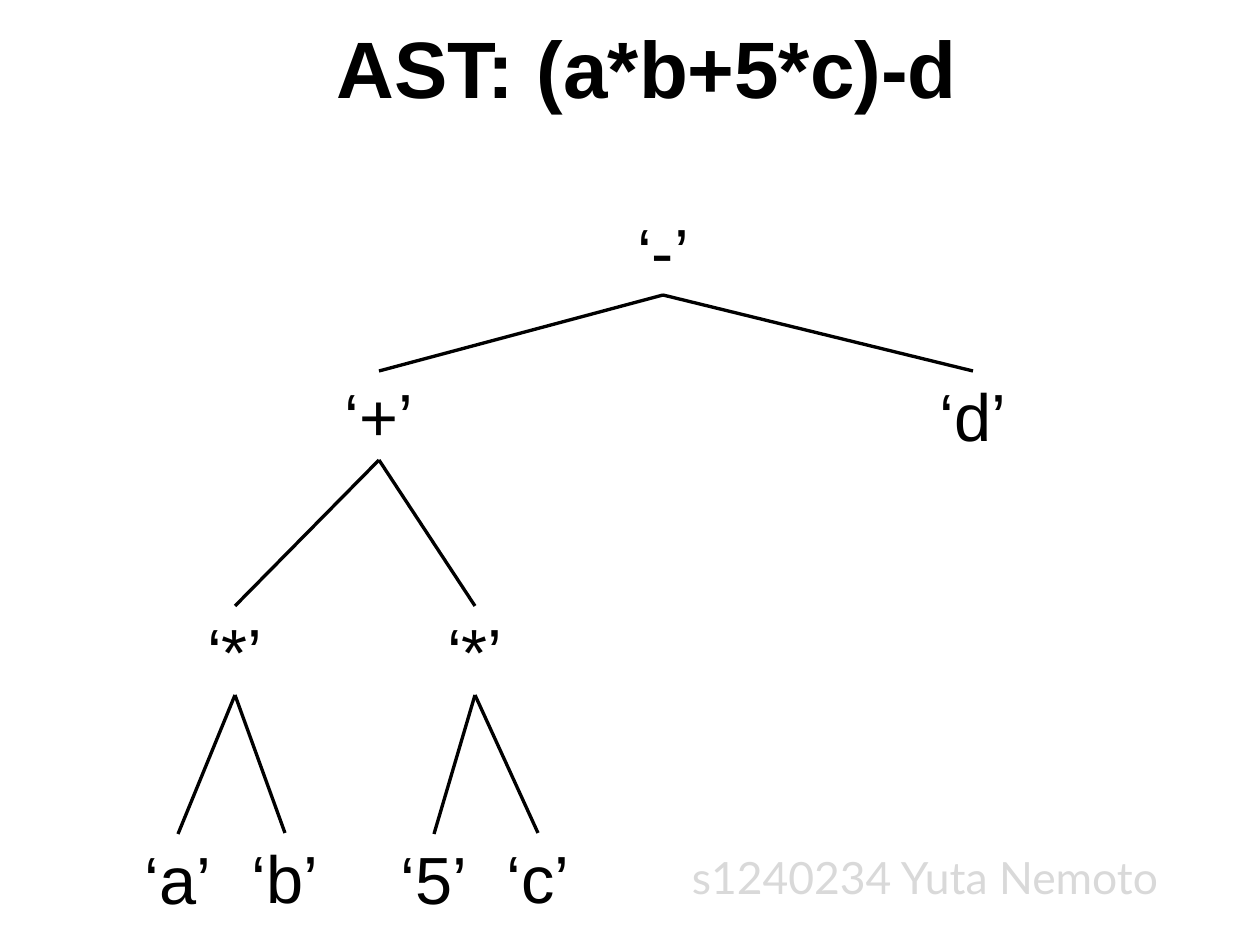
from pptx import Presentation
from pptx.dml.color import RGBColor
from pptx.enum.shapes import MSO_CONNECTOR
from pptx.enum.text import MSO_ANCHOR, MSO_AUTO_SIZE, PP_ALIGN
from pptx.oxml.ns import qn
from pptx.util import Pt
from lxml import etree

PX = 914400 // 80  # EMU per pixel
LEFT, CENTER = PP_ALIGN.LEFT, PP_ALIGN.CENTER
TOP, NO_FIT = MSO_ANCHOR.TOP, MSO_AUTO_SIZE.NONE
STRAIGHT = MSO_CONNECTOR.STRAIGHT
TOP_SITE, BOTTOM_SITE = 0, 2
COLORS = {"ink": "000000", "author": "D9D9D9"}

prs = Presentation()
prs.slide_width, prs.slide_height = 1260 * PX, 945 * PX
s = prs.slides.add_slide(prs.slide_layouts[5])


def put_text(text, x, y, w, h, size, sp=None, font="Arial", color="ink",
             bold=False, align=CENTER, wrap=False):
    """Fill a placeholder, or a new text box, with one formatted line."""
    if sp is None:
        sp = s.shapes.add_textbox(0, 0, 0, 0)
    sp.left, sp.top, sp.width, sp.height = (v * PX for v in (x, y, w, h))
    tf = sp.text_frame
    tf.auto_size, tf.word_wrap, tf.vertical_anchor = NO_FIT, wrap, TOP
    p = tf.paragraphs[0]
    p.alignment = align
    r = p.add_run()
    r.text = text
    r.font.name, r.font.size, r.font.bold = font, Pt(size), bold
    r.font.color.rgb = RGBColor.from_string(COLORS[color])
    return sp


# Title
put_text("AST: (a*b+5*c)-d", 326, 14, 642, 105, 72, sp=s.shapes.title, bold=True)

# Tree nodes: symbol, centre x, top, width, index of the parent
NODES = [
    ("-", 663, 206, 68, None),
    ("+", 379, 371, 86, 0),
    ("d", 973, 371, 84, 0),
    ("*", 235, 606, 72, 1),
    ("*", 475, 606, 72, 1),
    ("a", 178, 834, 84, 3),
    ("b", 285, 833, 84, 3),
    ("5", 434, 834, 84, 4),
    ("c", 538, 833, 80, 4),
]
NODE_H = 89
boxes = [put_text(f"‘{symbol}’", cx - w // 2, y, w, NODE_H, 60)
         for symbol, cx, y, w, parent in NODES]

# Branches from each node up to its parent
for box, (*_, parent) in zip(boxes, NODES):
    if parent is None:
        continue
    branch = s.shapes.add_connector(STRAIGHT, 0, 0, 0, 0)
    branch.begin_connect(box, TOP_SITE)
    branch.end_connect(boxes[parent], BOTTOM_SITE)
    branch.line.width = Pt(3)
    branch.line.color.rgb = RGBColor.from_string(COLORS["ink"])
    etree.SubElement(branch._element.spPr, qn("a:effectLst"))

# Author
put_text("s1240234 Yuta Nemoto", 684, 846, 546, 62, 40, font="Lato",
         color="author", align=LEFT, wrap=True)

prs.save("out.pptx")
